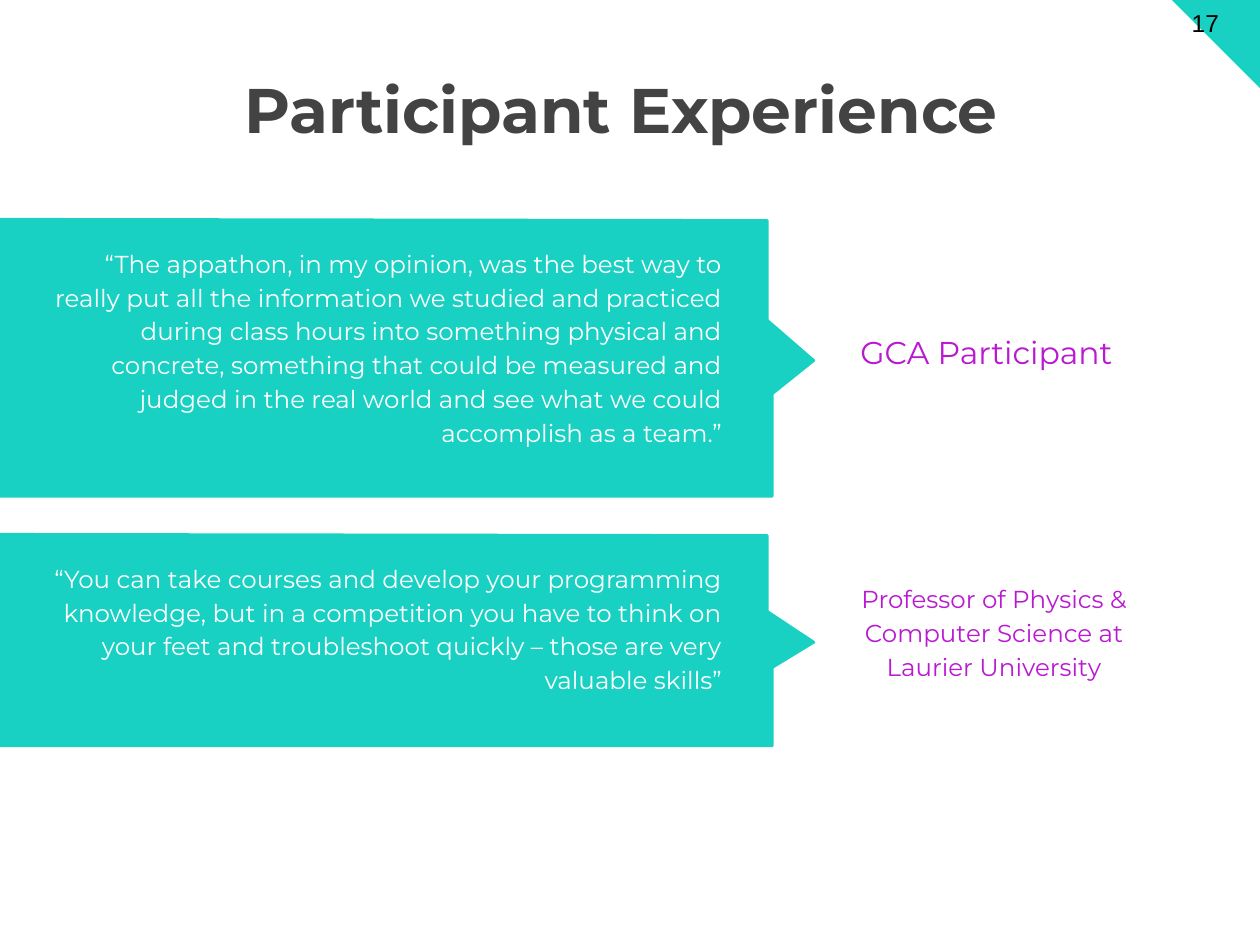
from pptx import Presentation
from pptx.dml.color import RGBColor
from pptx.enum.shapes import MSO_SHAPE as Shape
from pptx.enum.text import MSO_ANCHOR as Anchor, PP_ALIGN as Align
from pptx.util import Inches, Pt

COLORS = {
    "teal": "19D1C3",
    "purple": "B919D1",
    "white": "FFFFFF",
    "charcoal": "434343",
    "black": "000000",
}
QUOTES = [
    "“The appathon, in my opinion, was the best way to really put all the "
    "information we studied and practiced during class hours into something "
    "physical and concrete, something that could be measured and judged in "
    "the real world and see what we could accomplish as a team.”",
    "“You can take courses and develop your programming knowledge, but in a "
    "competition you have to think on your feet and troubleshoot quickly – "
    "those are very valuable skills”",
]
PROFESSOR = "Professor of Physics & Computer Science at Laurier University"


def color(name):
    """Return the named palette colour."""
    return RGBColor.from_string(COLORS[name])


def add_text(slide, box, text, size, tint, align=Align.LEFT, anchor=Anchor.TOP,
             font="Montserrat", bold=False, spacing=1.15):
    """Place one wrapped paragraph in a box."""
    frame = slide.shapes.add_textbox(*map(Inches, box)).text_frame
    frame.word_wrap = True
    frame.vertical_anchor = anchor
    frame.margin_left = frame.margin_right = Inches(0.1)
    frame.margin_top = frame.margin_bottom = Inches(0.1)
    paragraph = frame.paragraphs[0]
    paragraph.alignment = align
    paragraph.line_spacing = spacing
    run = paragraph.add_run()
    run.text = text
    run.font.name = font
    run.font.size = Pt(size)
    run.font.bold = bold
    run.font.color.rgb = color(tint)


def add_quote(slide, box, quote):
    """Draw a banner pointing right and set its quote inside."""
    left, top, width, height = box
    shoulder, edge, tip = left + width - 0.37, left + width - 0.33, left + width
    outline = [
        (shoulder, top + 0.01),
        (left, top),
        (left, top + height),
        (edge, top + height),
        (edge, top + 0.63 * height),
        (tip, top + 0.51 * height),
        (shoulder, top + 0.364 * height),
    ]
    start, *corners = [(Inches(x), Inches(y)) for x, y in outline]
    builder = slide.shapes.build_freeform(*start)
    builder.add_line_segments(corners, close=True)
    banner = builder.convert_to_shape()
    banner.shadow.inherit = False
    banner.fill.solid()
    banner.fill.fore_color.rgb = color("teal")
    banner.line.color.rgb = color("teal")
    banner.line.width = Pt(1.5)
    add_text(slide, (left + 0.33, top + 0.1, 5.5, 2.28), quote, 14, "white",
             Align.RIGHT)


def add_page_corner(slide, box, number):
    """Draw the corner triangle with the page number over it."""
    left, top, width, height = box
    corner = slide.shapes.add_shape(Shape.RIGHT_TRIANGLE, *map(Inches, box))
    corner.rotation = 180
    corner.shadow.inherit = False
    corner.fill.solid()
    corner.fill.fore_color.rgb = color("teal")
    corner.line.fill.background()
    add_text(slide, (left + 0.06, top + 0.01, width - 0.06, 0.34), number, 14,
             "black", anchor=Anchor.MIDDLE, font="Arial", spacing=1.0)


def main():
    """Build and save the participant experience slide."""
    deck = Presentation()
    deck.slide_width, deck.slide_height = Inches(10), Inches(7.5)
    slide = deck.slides.add_slide(deck.slide_layouts[6])
    add_text(slide, (0, 0.01, 10, 1.25), "Participant Experience ", 36,
             "charcoal", Align.CENTER, Anchor.BOTTOM, bold=True, spacing=1.0)
    banners = [(0, 1.74, 6.46, 2.2), (0, 4.24, 6.46, 1.68)]
    for box, quote in zip(banners, QUOTES):
        add_quote(slide, box, quote)
    add_text(slide, (6.73, 2.5, 3.19, 0.78), "GCA Participant", 18, "purple")
    add_text(slide, (6.48, 4.5, 2.82, 0.78), PROFESSOR, 14, "purple",
             Align.CENTER)
    add_page_corner(slide, (9.3, 0, 0.7, 0.7), "17")
    deck.save("out.pptx")


if __name__ == "__main__":
    main()
